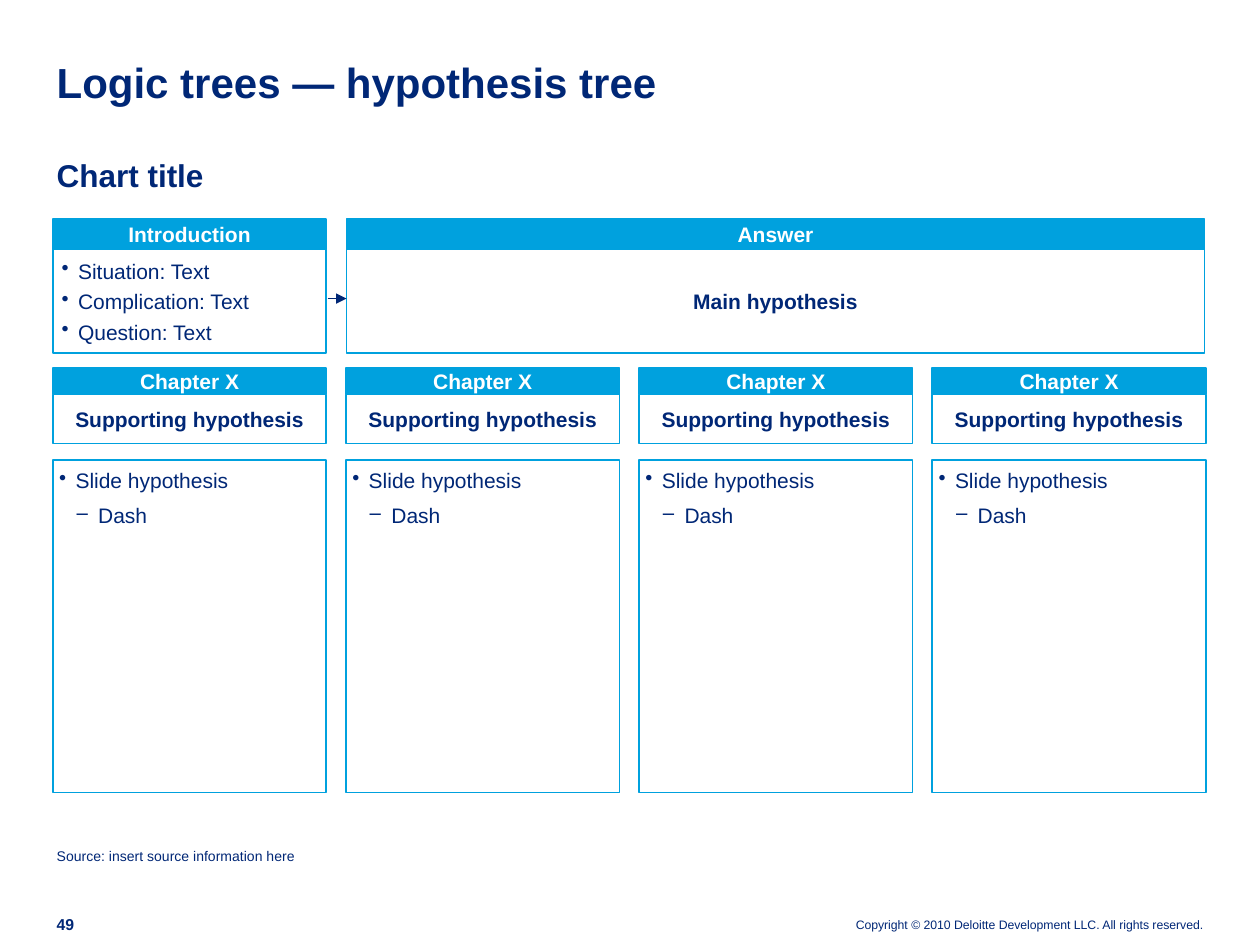
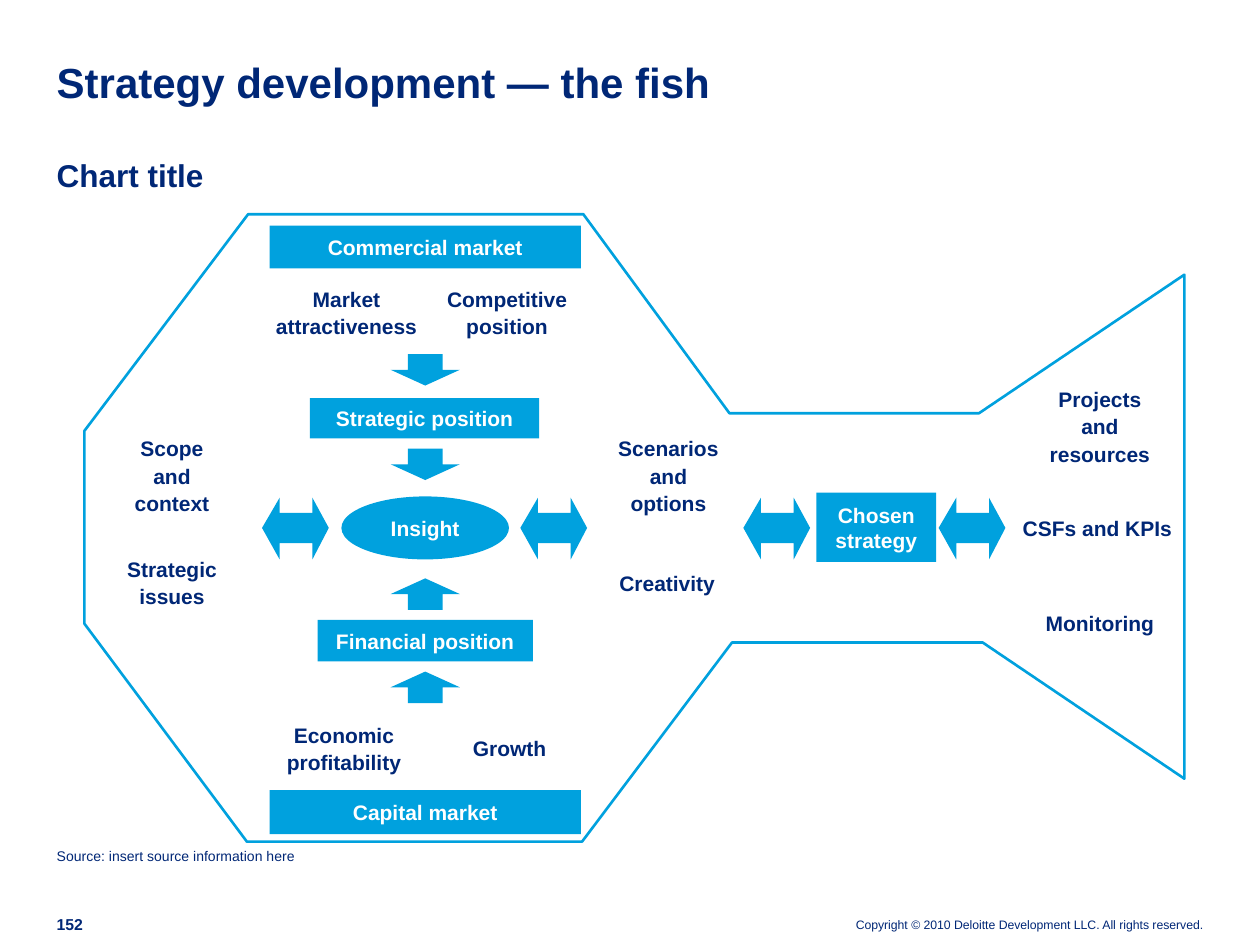
"""Build a hypothesis tree slide and a strategy fish slide in one shared style."""
from lxml import etree
from pptx import Presentation
from pptx.dml.color import RGBColor
from pptx.enum.shapes import MSO_CONNECTOR, MSO_SHAPE
from pptx.enum.text import MSO_ANCHOR, MSO_AUTO_SIZE, PP_ALIGN
from pptx.oxml.ns import qn
from pptx.util import Inches, Pt

RECT, OVAL = MSO_SHAPE.RECTANGLE, MSO_SHAPE.OVAL
UP, DOWN = MSO_SHAPE.UP_ARROW, MSO_SHAPE.DOWN_ARROW
STRAIGHT = MSO_CONNECTOR.STRAIGHT
TOP, MIDDLE, BOTTOM = MSO_ANCHOR.TOP, MSO_ANCHOR.MIDDLE, MSO_ANCHOR.BOTTOM
LEFT, CENTER, RIGHT = PP_ALIGN.LEFT, PP_ALIGN.CENTER, PP_ALIGN.RIGHT
NO_AUTOFIT = MSO_AUTO_SIZE.NONE

NAVY, CYAN, WHITE = "002776", "00A1DE", "FFFFFF"
FONT = "Arial"
TITLE_ONLY = 5
COPYRIGHT = "Copyright © 2010 Deloitte Development LLC. All rights reserved."


def rgb(hex_colour):
    return RGBColor.from_string(hex_colour)


class Deck:
    def __init__(self):
        self.presentation = Presentation()
        self.presentation.slide_width = Inches(10)
        self.presentation.slide_height = Inches(7.5)
        self.slide = None

    def start_slide(self, title, number):
        layout = self.presentation.slide_layouts[TITLE_ONLY]
        self.slide = self.presentation.slides.add_slide(layout)
        heading = self.slide.shapes.title
        heading.left, heading.top = Inches(0.45), Inches(0.49)
        heading.width, heading.height = Inches(9.11), Inches(0.36)
        self.set_text(heading, title, size=24, bold=True, anchor=BOTTOM, spacing=Pt(26))
        self.label(0.45, 1.24, 2.14, 0.3, "Chart title", size=18, bold=True)
        self.label(0.45, 6.73, 4.37, 0.14, "Source: insert source information here", size=8)
        self.label(0.45, 7.26, 0.29, 0.15, number, size=9, bold=True, anchor=BOTTOM)
        self.label(6.52, 7.28, 3.03, 0.12, COPYRIGHT, size=7, anchor=BOTTOM, align=RIGHT)

    def set_text(self, holder, text, size=12, bold=False, colour=NAVY, align=LEFT,
                 anchor=TOP, insets=(0, 0, 0, 0), spacing=None, wrap=True):
        frame = holder.text_frame
        frame.auto_size = NO_AUTOFIT
        frame.word_wrap = wrap
        frame.vertical_anchor = anchor
        (frame.margin_left, frame.margin_top,
         frame.margin_right, frame.margin_bottom) = map(Inches, insets)
        frame.text = text
        for paragraph in frame.paragraphs:
            paragraph.alignment = align
            paragraph.line_spacing = spacing
            self.set_font(paragraph, size, bold, colour)

    def set_font(self, paragraph, size, bold, colour):
        font = paragraph.font
        font.name, font.size, font.bold = FONT, Pt(size), bold
        font.color.rgb = rgb(colour)

    def label(self, left, top, width, height, text, **style):
        box = self.slide.shapes.add_textbox(*map(Inches, (left, top, width, height)))
        self.set_text(box, text, **style)

    def paint(self, shape, fill, line, weight=1):
        shape.shadow.inherit = False
        if fill:
            shape.fill.solid()
            shape.fill.fore_color.rgb = rgb(fill)
        else:
            shape.fill.background()
        if line:
            shape.line.color.rgb = rgb(line)
            shape.line.width = Pt(weight)
        else:
            shape.line.fill.background()

    def shape(self, left, top, width, height, kind=RECT, fill=None, line=None):
        shape = self.slide.shapes.add_shape(
            kind, *map(Inches, (left, top, width, height)))
        self.paint(shape, fill, line)
        return shape

    def panel(self, left, top, width, head_height, body_height, heading, statement=None):
        style = dict(bold=True, align=CENTER, anchor=MIDDLE, insets=(0.04,) * 4)
        head = self.shape(left, top, width, head_height, fill=CYAN, line=CYAN)
        self.set_text(head, heading, colour=WHITE, **style)
        body = self.shape(left, top + head_height, width, body_height, line=CYAN)
        if statement:
            self.set_text(body, statement, **style)
        return body

    def bullets(self, shape, items, insets, anchor=TOP, before=0, after=0, spacing=None):
        self.set_text(shape, "\n".join(text for _, text in items),
                      insets=insets, anchor=anchor, spacing=spacing)
        markers = [("•", 0.13, -0.13), ("‒", 0.31, -0.18)]
        for index, (paragraph, (level, _)) in enumerate(zip(shape.text_frame.paragraphs, items)):
            marker, margin, indent = markers[level]
            properties = paragraph._p.get_or_add_pPr()
            properties.remove(properties.find(qn("a:defRPr")))
            properties.set("marL", str(Inches(margin)))
            properties.set("indent", str(Inches(indent)))
            etree.SubElement(properties, qn("a:buChar"), char=marker)
            paragraph.level = level
            paragraph.space_after = Pt(after)
            if index:
                paragraph.space_before = Pt(before)
            self.set_font(paragraph, 12, False, NAVY)

    def arrow(self, start, end):
        connector = self.slide.shapes.add_connector(STRAIGHT, *map(Inches, start + end))
        connector.line.color.rgb = rgb(NAVY)
        connector.line.width = Pt(1)
        etree.SubElement(connector.line._get_or_add_ln(), qn("a:tailEnd"), type="triangle")
        etree.SubElement(connector._element.spPr, qn("a:effectLst"))

    def outline(self, points, fill, line=None):
        corners = [(Inches(x), Inches(y)) for x, y in points]
        builder = self.slide.shapes.build_freeform(*corners[0])
        builder.add_line_segments(corners[1:], close=True)
        self.paint(builder.convert_to_shape(), fill, line, 1.5)

    def block(self, left, top, width, height, text, kind=RECT):
        block = self.shape(left, top, width, height, kind, fill=CYAN)
        self.set_text(block, text, bold=True, colour=WHITE, align=CENTER,
                      anchor=MIDDLE, insets=(0.1,) * 4)

    def topic(self, left, top, width, height, text, wrap=True):
        self.label(left, top, width, height, text, bold=True, align=CENTER,
                   anchor=MIDDLE, insets=(0.1,) * 4, spacing=1.1, wrap=wrap)


def build_hypothesis_tree(deck):
    deck.start_slide("Logic trees — hypothesis tree", "49")
    left, right, width, columns = 0.42, 9.57, 2.17, 4
    pitch = (right - left - width) / (columns - 1)

    introduction = deck.panel(left, 1.74, width, 0.24, 0.82, "Introduction")
    deck.bullets(introduction,
                 [(0, "Situation: Text"), (0, "Complication: Text"), (0, "Question: Text")],
                 insets=(0.07, 0.04, 0, 0.04), anchor=MIDDLE, after=3)
    deck.panel(2.75, 1.74, 6.81, 0.24, 0.82, "Answer", "Main hypothesis")
    deck.arrow((2.6, 2.37), (2.75, 2.37))

    for column in range(columns):
        x = left + column * pitch
        deck.panel(x, 2.92, width, 0.21, 0.39, "Chapter X", "Supporting hypothesis")
        details = deck.shape(x, 3.65, width, 2.64, line=CYAN)
        deck.bullets(details, [(0, "Slide hypothesis"), (1, "Dash")],
                     insets=(0.05, 0.05, 0.02, 0.02), before=5, spacing=1.06)


def build_strategy_fish(deck):
    deck.start_slide("Strategy development — the fish", "152")
    fish = [(0.67, 3.42), (1.97, 1.7), (4.63, 1.7), (5.79, 3.28), (7.77, 3.28), (9.4, 2.18),
            (9.4, 6.18), (7.8, 5.1), (5.81, 5.1), (4.62, 6.68), (1.96, 6.68), (0.67, 4.95)]
    deck.outline(fish, WHITE, CYAN)

    deck.block(2.14, 1.79, 2.47, 0.34, "Commercial market")
    deck.block(2.46, 3.16, 1.82, 0.32, "Strategic position")
    deck.block(2.71, 3.94, 1.33, 0.5, "Insight", OVAL)
    deck.block(2.52, 4.92, 1.71, 0.33, "Financial position")
    deck.block(2.14, 6.27, 2.47, 0.35, "Capital market")
    deck.block(6.48, 3.91, 0.95, 0.55, "Chosen\nstrategy")

    deck.topic(2.14, 2.23, 1.22, 0.48, "Market\vattractiveness", wrap=False)
    deck.topic(3.41, 2.23, 1.23, 0.48, "Competitive position")
    deck.topic(2.14, 5.69, 1.18, 0.48, "Economic profitability")
    deck.topic(3.48, 5.69, 1.13, 0.48, "Growth")
    deck.topic(0.81, 3.49, 1.11, 0.55, "Scope\vand context")
    deck.topic(0.81, 4.34, 1.11, 0.55, "Strategic\nissues")
    deck.topic(4.75, 3.49, 1.11, 0.55, "Scenarios\vand options")
    deck.topic(4.74, 4.34, 1.11, 0.55, "Creativity")
    deck.topic(8.18, 3.1, 1.1, 0.55, "Projects and\nresources")
    deck.topic(7.91, 3.91, 1.6, 0.55, "CSFs and KPIs")
    deck.topic(8.16, 4.66, 1.14, 0.55, "Monitoring")

    for direction, top in [(DOWN, 2.81), (DOWN, 3.56), (UP, 4.59), (UP, 5.33)]:
        deck.shape(3.1, top, 0.55, 0.25, direction, fill=CYAN)

    two_way = [(0, 0.24), (0.14, 0), (0.14, 0.12), (0.4, 0.12), (0.4, 0),
               (0.53, 0.24), (0.4, 0.49), (0.4, 0.36), (0.14, 0.36), (0.14, 0.49)]
    for left in (2.08, 4.13, 5.9, 7.45):
        deck.outline([(left + x, 3.95 + y) for x, y in two_way], CYAN)


def main():
    deck = Deck()
    build_hypothesis_tree(deck)
    build_strategy_fish(deck)
    deck.presentation.save("out.pptx")


if __name__ == "__main__":
    main()
